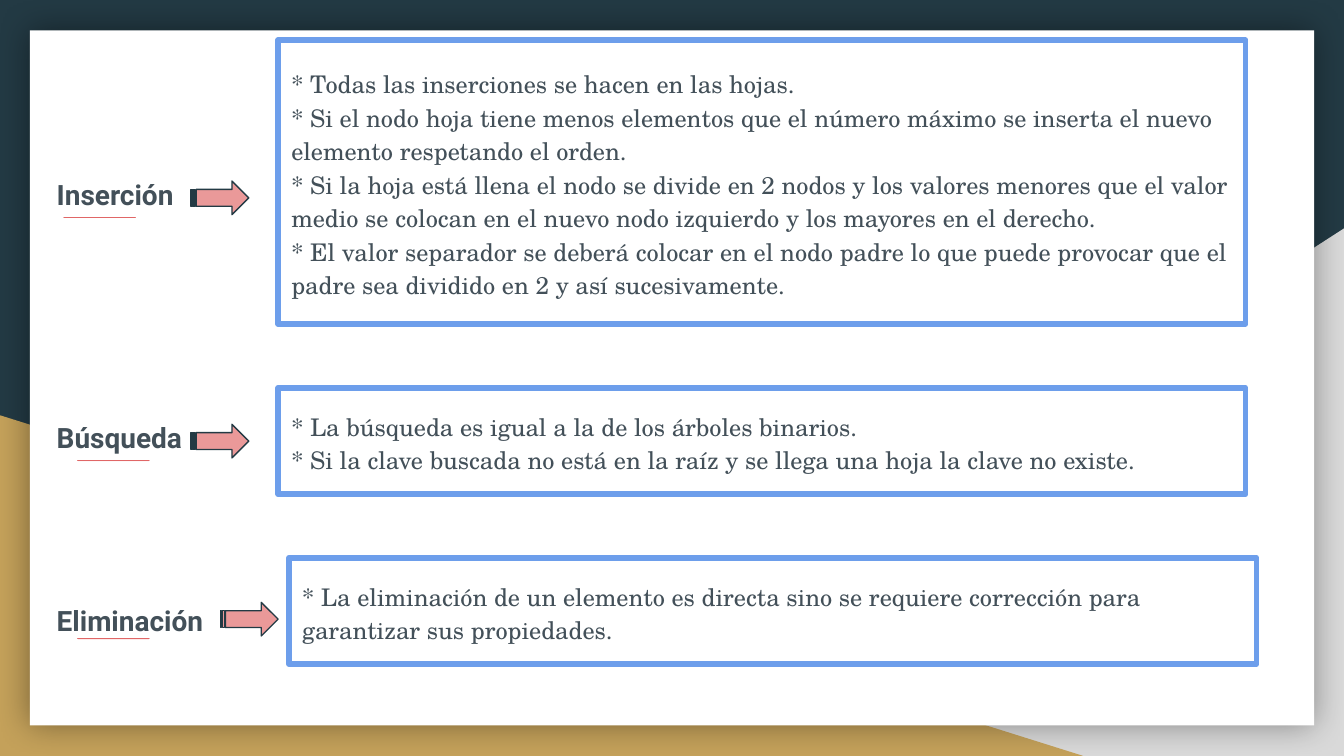
import pptx
import pptx.util
import pptx.dml.color
import pptx.enum.shapes
import pptx.enum.text
import pptx.oxml
from pptx.oxml.ns import nsdecls

Pt = pptx.util.Pt
MSO = pptx.enum.shapes.MSO_SHAPE
ANCHOR = pptx.enum.text.MSO_ANCHOR
COLORS = {
    "navy": "233A44", "grey": "D9D9D9", "gold": "C4A15A", "white": "FFFFFF",
    "blue": "6D9EEB", "pink": "EA9999", "red": "E06666", "text": "435059",
    "pale": "F8C7C5", "bright": "EC5553",
}


def rgb(name):
    return pptx.dml.color.RGBColor.from_string(COLORS[name])


def add_shape(kind, box, fill, line=None, width=0.75):
    sp = s.shapes.add_shape(kind, *[Pt(v) for v in box])
    sp.shadow.inherit = False
    sp.fill.solid()
    sp.fill.fore_color.rgb = rgb(fill)
    if line:
        sp.line.color.rgb = rgb(line)
        sp.line.width = Pt(width)
    else:
        sp.line.fill.background()
    return sp


prs = pptx.Presentation()
prs.slide_width, prs.slide_height = Pt(720), Pt(405)
s = prs.slides.add_slide(prs.slide_layouts[6])

# Background with two corner triangles
s.background.fill.solid()
s.background.fill.fore_color.rgb = rgb("navy")
corner = add_shape(MSO.RIGHT_TRIANGLE, (282.24, 122.4, 437.76, 282.6), "grey")
corner._element.spPr.xfrm.set("flipH", "1")
add_shape(MSO.RIGHT_TRIANGLE, (0, 222.5, 580.3, 182.5), "gold")

# White panel with a soft shadow
panel = add_shape(MSO.RECTANGLE, (16, 16.3, 688, 372.4), "white")
effects = panel._element.spPr.find(pptx.oxml.ns.qn("a:effectLst"))
effects.append(pptx.oxml.parse_xml(
    f'<a:outerShdw {nsdecls("a")} blurRad="{Pt(18)}" dist="0" algn="bl" rotWithShape="0">'
    '<a:srgbClr val="000000"><a:alpha val="40000"/></a:srgbClr></a:outerShdw>'))

# Operations: label, label centre, box (left, top, height),
# arrow (left, top), underline (left, top, fill), paragraphs
operations = [
    ("Inserción", 104, (149, 21.6, 152), (102.3, 97), (27.4, 115, "grey"), [
        "* Todas las inserciones se hacen en las hojas.",
        "* Si el nodo hoja tiene menos elementos que el número máximo se inserta "
        "el nuevo elemento respetando el orden.",
        "* Si la hoja está llena el nodo se divide en 2 nodos y los valores menores "
        "que el valor medio se colocan en el nuevo nodo izquierdo y los mayores en el derecho.",
        "* El valor separador se deberá colocar en el nodo padre lo que puede provocar "
        "que el padre sea dividido en 2 y así sucesivamente."]),
    ("Búsqueda", 234.5, (149, 207.8, 57), (102.3, 227.3), (34.8, 245.4, "pale"), [
        "* La búsqueda es igual a la de los árboles binarios.",
        "* Si la clave buscada no está en la raíz y se llega una hoja la clave no existe."]),
    ("Eliminación", 332.5, (154.8, 298.8, 57), (118, 322.7), (34.8, 340.7, "bright"), [
        "* La eliminación de un elemento es directa sino se requiere corrección "
        "para garantizar sus propiedades."]),
]

for label, middle, (left, top, height), arrow, (x, y, fill), lines in operations:
    # Label
    tb = s.shapes.add_textbox(Pt(23.3), Pt(middle - 16), Pt(95), Pt(32))
    tf = tb.text_frame
    tf.vertical_anchor = ANCHOR.MIDDLE
    tf.word_wrap = False
    tf.text = label
    f = tf.paragraphs[0].runs[0].font
    f.name, f.size, f.bold = "Roboto", Pt(15), True
    f.color.rgb = rgb("text")

    # Framed explanation
    sp = add_shape(MSO.RECTANGLE, (left, top, 518.4, height), "white", "blue", 3)
    tf = sp.text_frame
    tf.word_wrap = True
    tf.vertical_anchor = ANCHOR.MIDDLE
    tf.margin_left = tf.margin_right = tf.margin_top = tf.margin_bottom = Pt(7.2)
    tf.text = "\n".join(lines)
    for p in tf.paragraphs:
        p.alignment = pptx.enum.text.PP_ALIGN.LEFT
        p.line_spacing = 1.15
        f = p.runs[0].font
        f.name, f.size = "TeX Gyre Schola", Pt(13)
        f.color.rgb = rgb("text")

    # Arrow and underline
    add_shape(MSO.STRIPED_RIGHT_ARROW, (*arrow, 31, 18), "pink", "navy")
    minus = add_shape(MSO.MATH_MINUS, (x, y, 52, 2.9), fill, "red")
    minus.adjustments[0] = 0

prs.save("out.pptx")
